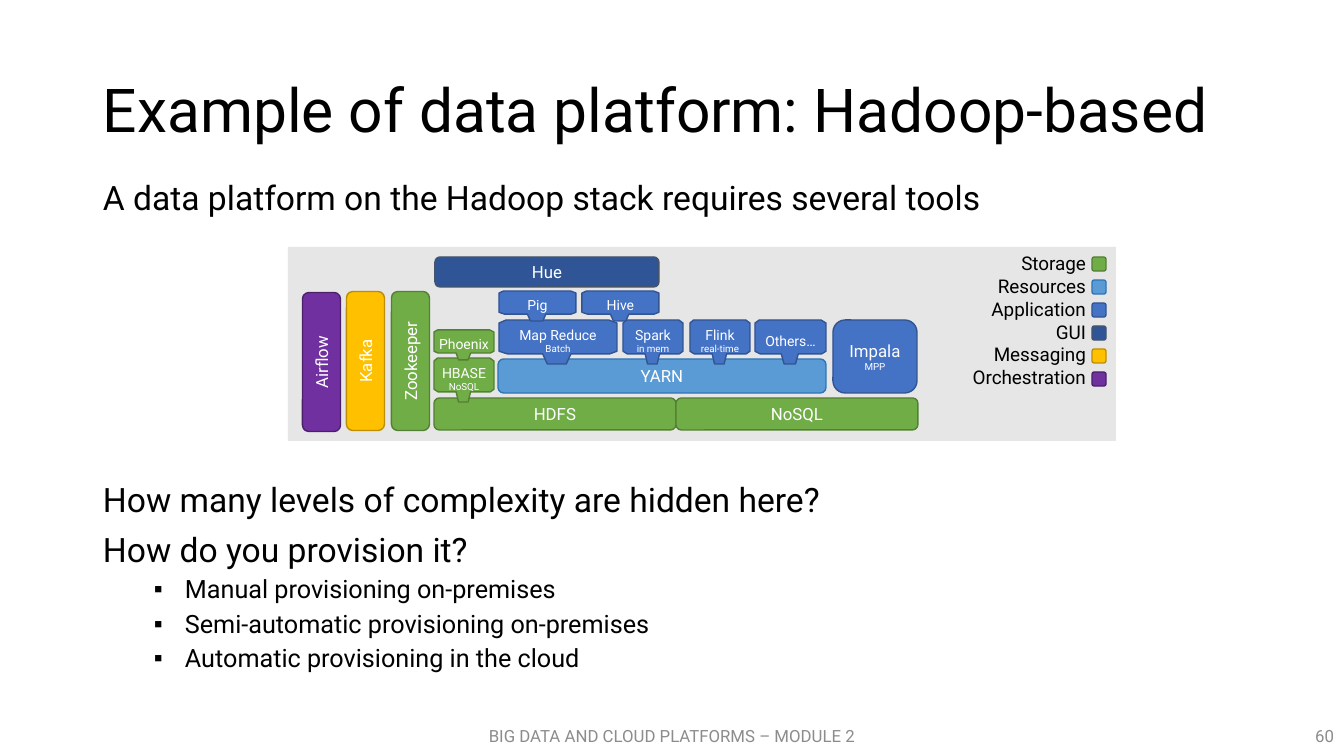
from pptx import Presentation
from pptx.dml.color import RGBColor
from pptx.enum.shapes import MSO_SHAPE
from pptx.enum.text import MSO_ANCHOR, PP_ALIGN
from pptx.util import Emu, Pt
from lxml import etree

RECTANGLE, ROUNDED = MSO_SHAPE.RECTANGLE, MSO_SHAPE.ROUNDED_RECTANGLE
LEFT, CENTER, RIGHT = PP_ALIGN.LEFT, PP_ALIGN.CENTER, PP_ALIGN.RIGHT
TOP, MIDDLE = MSO_ANCHOR.TOP, MSO_ANCHOR.MIDDLE
DRAWING = "{http://schemas.openxmlformats.org/drawingml/2006/main}"
PX = 914400 / 100.8

THEME = {
    "font": "Roboto",
    "text": "000000", "muted": "8C8C8C", "panel": "E7E6E6", "on_fill": "FFFFFF",
    # role: (fill, line)
    "roles": {
        "Storage": ("70AD47", "538035"),
        "Resources": ("5B9BD5", "2E75B6"),
        "Application": ("4472C4", "325491"),
        "GUI": ("2F5597", "44546A"),
        "Messaging": ("FFC000", "BD8E00"),
        "Orchestration": ("7030A0", "4A206A"),
    },
    "title": 43.2, "body": 24, "bullet": 18, "legend": 13.5,
    "block": 12, "tool": 10, "detail": 7, "footer": 12,
}


def write(shape, lines, color, align=LEFT, anchor=MIDDLE, insets=(10, 5, 10, 5)):
    """Fill a shape with lines of (text, size, paragraph format)."""
    frame = shape.text_frame
    left, top, right, bottom = (Emu(round(inset * PX)) for inset in insets)
    settings = {"word_wrap": True, "vertical_anchor": anchor, "margin_left": left,
                "margin_top": top, "margin_right": right, "margin_bottom": bottom}
    for name, value in settings.items():
        setattr(frame, name, value)
    for index, (text, size, layout) in enumerate(lines):
        paragraph = frame.paragraphs[0] if index == 0 else frame.add_paragraph()
        for name, value in {"alignment": align, **layout}.items():
            setattr(paragraph, name, value)
        run = paragraph.add_run()
        run.text = text
        for name, value in {"name": THEME["font"], "size": Pt(size)}.items():
            setattr(run.font, name, value)
        run.font.color.rgb = RGBColor.from_string(color)


def paint(shape, fill, line=None):
    shape.shadow.inherit = False
    shape.fill.solid()
    shape.fill.fore_color.rgb = RGBColor.from_string(fill)
    if line:
        shape.line.color.rgb = RGBColor.from_string(line)
        shape.line.width = Pt(1)
    else:
        shape.line.fill.background()


presentation = Presentation()
presentation.slide_width = Emu(round(1344 * PX))
presentation.slide_height = Emu(round(756 * PX))
slide = presentation.slides.add_slide(presentation.slide_layouts[6])
shapes = slide.shapes

# Title, body, footer and page number
heading = {"line_spacing": 0.9}
question = {"line_spacing": 0.9, "space_before": Pt(10)}
option = {"line_spacing": 0.9, "space_before": Pt(5)}
below_diagram = {"line_spacing": 0.9, "space_before": Pt(190)}
body_lines = [
    ("A data platform on the Hadoop stack requires several tools", THEME["body"], heading),
    ("How many levels of complexity are hidden here?", THEME["body"], below_diagram),
    ("How do you provision it?", THEME["body"], question),
    ("Manual provisioning on-premises", THEME["bullet"], option),
    ("Semi-automatic provisioning on-premises", THEME["bullet"], option),
    ("Automatic provisioning in the cloud", THEME["bullet"], option),
]
title_lines = [("Example of data platform: Hadoop-based", THEME["title"], heading)]
footer_lines = [("BIG DATA AND CLOUD PLATFORMS – MODULE 2", THEME["footer"], {})]
number_lines = [("60", THEME["footer"], {})]
for box, lines, color, align in [
    ((93, 40, 1159, 146), title_lines, THEME["text"], LEFT),
    ((93, 187, 1159, 480), body_lines, THEME["text"], LEFT),
    ((464, 716, 416, 40), footer_lines, THEME["muted"], CENTER),
    ((1041, 716, 303, 40), number_lines, THEME["muted"], RIGHT),
]:
    text_box = shapes.add_textbox(*(Emu(round(length * PX)) for length in box))
    write(text_box, lines, color, align)
    for paragraph, (_, size, _) in zip(text_box.text_frame.paragraphs, lines):
        if size == THEME["bullet"]:
            properties = paragraph._p.get_or_add_pPr()
            properties.set("marL", str(round(82 * PX)))
            properties.set("indent", str(round(-31 * PX)))
            etree.SubElement(properties, DRAWING + "buFont", typeface="Arial")
            etree.SubElement(properties, DRAWING + "buChar", char="▪")

# Diagram panel with the legend labels
panel = shapes.add_shape(RECTANGLE, *(Emu(round(n * PX)) for n in (288, 247, 828, 194)))
paint(panel, THEME["panel"])
legend = [(role, THEME["legend"], {"line_spacing": Pt(16.25)}) for role in THEME["roles"]]
write(panel, legend, THEME["text"], RIGHT, TOP, (10, 5, 30, 5))

# Rounded blocks and legend keys: role, box, rotation, lines
blocks = [
    ("Storage", (434, 398, 242, 32), 0, ["HDFS"]),
    ("Storage", (676, 398, 242, 32), 0, ["NoSQL"]),
    ("Resources", (498, 359, 328, 34), 0, ["YARN"]),
    ("GUI", (435, 257, 224, 30), 0, ["Hue"]),
    ("Application", (833, 320, 84, 73), 0, ["Impala", "MPP"]),
    ("Storage", (341, 342, 139, 38), 270, ["Zookeeper"]),
    ("Messaging", (296, 342, 139, 38), 270, ["Kafka"]),
    ("Orchestration", (252, 343, 139, 38), 270, ["Airflow"]),
]
for row, role in enumerate(THEME["roles"]):
    blocks.append((role, (1092, 257 + 23 * row, 14, 14), 0, []))
for role, box, rotation, labels in blocks:
    block = shapes.add_shape(ROUNDED, *(Emu(round(length * PX)) for length in box))
    block.rotation = rotation
    paint(block, *THEME["roles"][role])
    sizes = (THEME["block"], THEME["detail"])
    write(block, [(label, size, {}) for label, size in zip(labels, sizes)],
          THEME["on_fill"], CENTER)

# Tools that plug into the layer below: outline as shares of width and height
plug_outline = [
    (0.06, 0), (0.93, 0), (1, 0.07), (1, 0.71), (0.94, 0.77), (0.61, 0.77), (0.57, 1),
    (0.41, 1), (0.37, 0.77), (0.07, 0.77), (0, 0.71), (0, 0.07),
]
tools = [
    ("Application", (499, 320, 118, 44), ["Map Reduce", "Batch"]),
    ("Storage", (434, 358, 60, 44), ["HBASE", "NoSQL"]),
    ("Application", (499, 291, 77, 30), ["Pig"]),
    ("Application", (690, 320, 60, 44), ["Flink", "real-time"]),
    ("Application", (623, 320, 60, 44), ["Spark", "in mem"]),
    ("Storage", (434, 330, 60, 30), ["Phoenix"]),
    ("Application", (755, 320, 71, 44), ["Others…"]),
    ("Application", (582, 291, 77, 30), ["Hive"]),
]
for role, (left, top, width, height), labels in tools:
    points = [((left + x * width) * PX, (top + y * height) * PX) for x, y in plug_outline]
    builder = shapes.build_freeform(*points[0])
    builder.add_line_segments(points[1:], close=True)
    tool = builder.convert_to_shape()
    paint(tool, *THEME["roles"][role])
    sizes = (THEME["tool"], THEME["detail"])
    write(tool, [(label, size, {}) for label, size in zip(labels, sizes)],
          THEME["on_fill"], CENTER, insets=(0, 5, 0, 8))

presentation.save("out.pptx")
